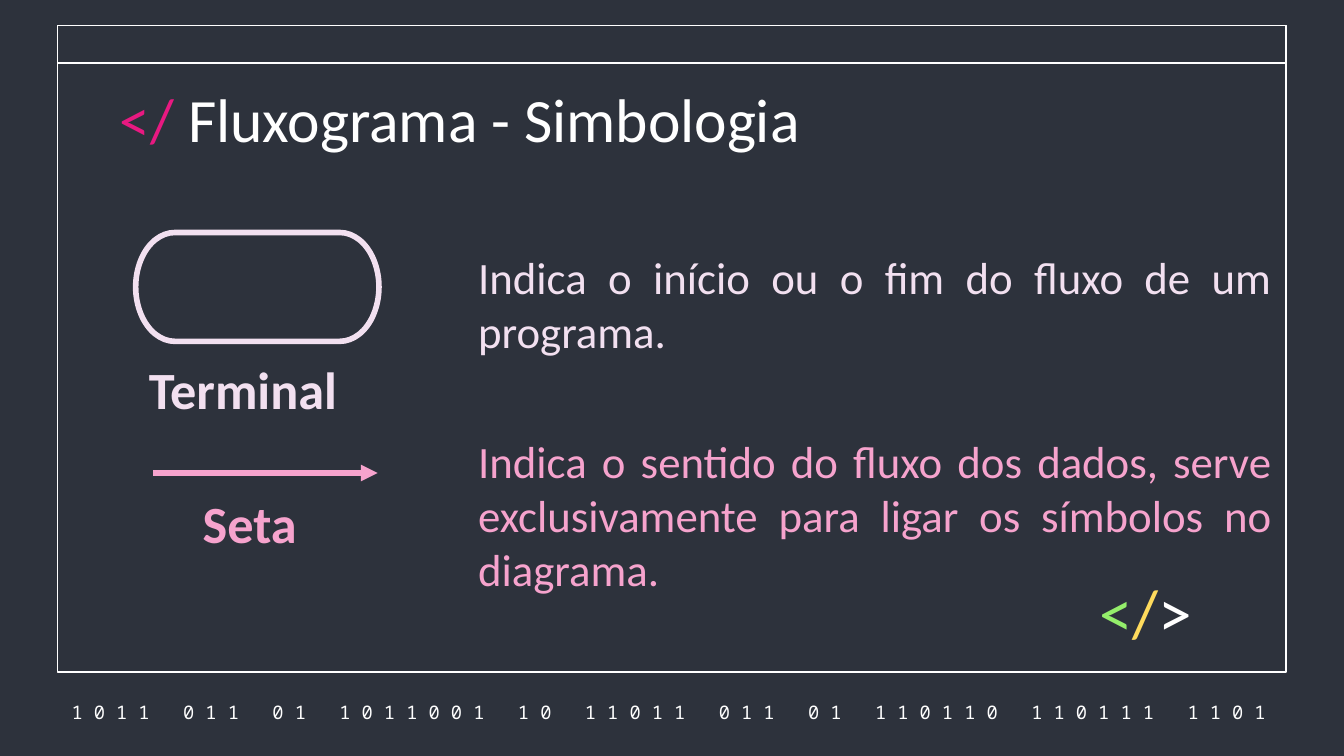
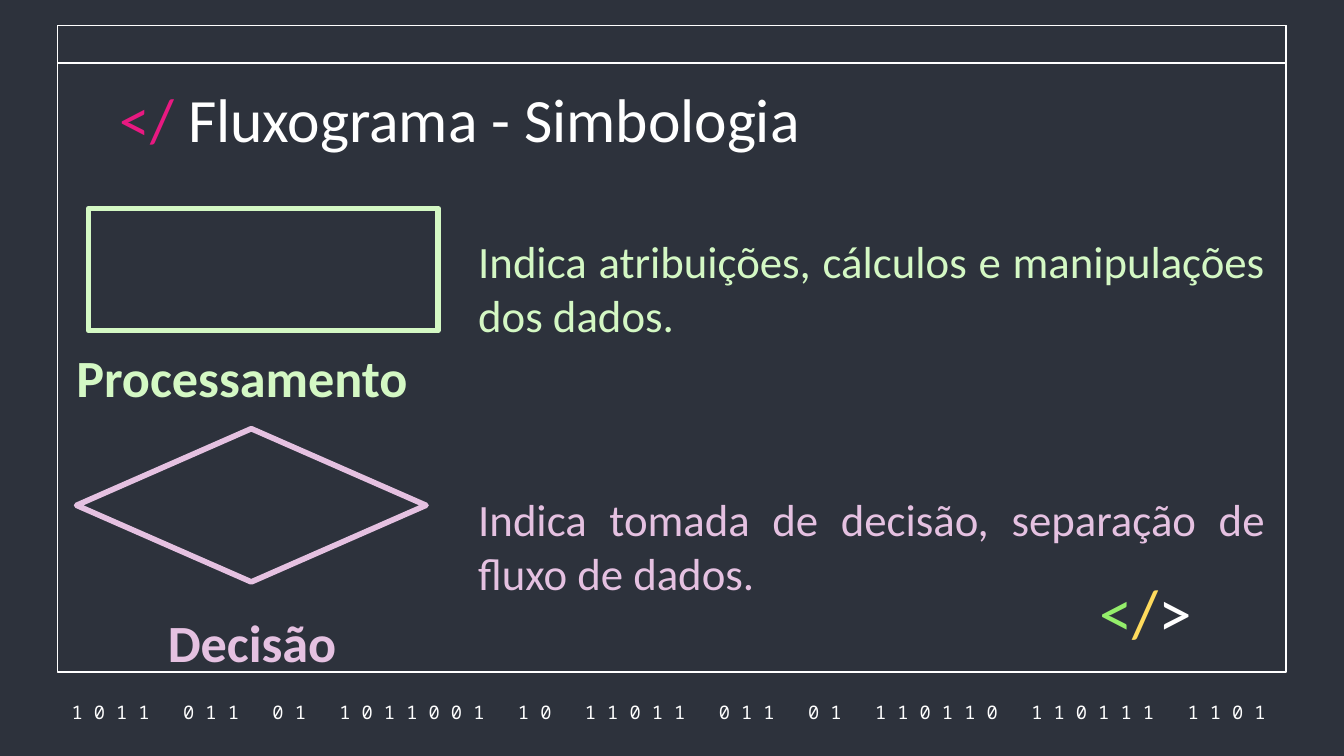
from lxml.etree import SubElement
from pptx import Presentation
from pptx.dml.color import RGBColor
from pptx.enum.shapes import MSO_CONNECTOR, MSO_SHAPE
from pptx.enum.text import MSO_ANCHOR, MSO_AUTO_SIZE, PP_ALIGN
from pptx.oxml.ns import qn
from pptx.util import Inches, Pt

FONT = "Calibri"
MONO = "Noto Sans Mono"
BACKGROUND = "2D323C"
WHITE = "FFFFFF"
MAGENTA = "E81981"
GREEN = "94EE6B"
YELLOW = "FFDB5D"
LILAC = "F2E0F0"
PINK = "F6A3CD"
MINT = "D4F8C4"
MAUVE = "E5C1E1"
TITLE = "Fluxograma - Simbologia"
BITS = "1011 011 01 1011001 10 11011 011 01 110110 110111 1101"
TEXT_LEFT = 3.46


def rgb(color):
    return RGBColor.from_string(color)


def box(left, top, width, height):
    return [Inches(v) for v in (left, top, width, height)]


def format_run(r, size, color, bold=False, font=FONT):
    r.font.name = font
    r.font.size = Pt(size)
    r.font.bold = bold
    r.font.color.rgb = rgb(color)


def add_runs(p, parts, size):
    for text, color in parts:
        r = p.add_run()
        r.text = text
        format_run(r, size, color)


def set_frame(tf, anchor):
    tf.word_wrap = True
    tf.auto_size = MSO_AUTO_SIZE.NONE
    tf.vertical_anchor = anchor
    tf.margin_left = tf.margin_right = Inches(0.1)
    tf.margin_top = tf.margin_bottom = Inches(0.1)


def add_outline(s, kind, place, color, width=3, fill=None):
    sp = s.shapes.add_shape(kind, *box(*place))
    sp.shadow.inherit = False
    if fill:
        sp.fill.solid()
        sp.fill.fore_color.rgb = rgb(fill)
    else:
        sp.fill.background()
    sp.line.color.rgb = rgb(color)
    sp.line.width = Pt(width)


def add_arrow(s, left, right, y, color):
    line = s.shapes.add_connector(
        MSO_CONNECTOR.STRAIGHT, Inches(left), Inches(y), Inches(right), Inches(y))
    line.line.color.rgb = rgb(color)
    line.line.width = Pt(3)
    SubElement(line.line._get_or_add_ln(), qn("a:tailEnd"), type="triangle")
    SubElement(line._element.spPr, qn("a:effectLst"))


def add_growing_text(s, text, place, size, color, bold=False, wrap=True):
    tf = s.shapes.add_textbox(*box(*place)).text_frame
    tf.word_wrap = wrap
    tf.auto_size = MSO_AUTO_SIZE.SHAPE_TO_FIT_TEXT
    p = tf.paragraphs[0]
    p.text = text
    p.alignment = PP_ALIGN.JUSTIFY if wrap else PP_ALIGN.LEFT
    format_run(p.runs[0], size, color, bold)


def add_label(s, text, left, top, width, color):
    add_growing_text(s, text, (left, top, width, 0.57), 28, color, True, False)


def add_meaning(s, text, top, width, height, color):
    add_growing_text(s, text, (TEXT_LEFT, top, width, height), 24, color)


def add_window(s):
    for height in (4.81, 0.28):
        add_outline(s, MSO_SHAPE.RECTANGLE, (0.43, 0.19, 9.14, height),
                    WHITE, 0.75, BACKGROUND)


def add_bits(s):
    tf = s.shapes.add_textbox(*box(0.38, 5.2, 9.27, 0.2)).text_frame
    set_frame(tf, MSO_ANCHOR.MIDDLE)
    p = tf.paragraphs[0]
    p.text = " ".join(BITS.replace(" ", "  ")).replace(" " * 5, " " * 3) + " "
    p.alignment = PP_ALIGN.CENTER
    format_run(p.runs[0], 10, WHITE, font=MONO)


def set_title(s):
    sp = s.shapes.title
    sp.left, sp.top, sp.width, sp.height = box(0.79, 0.5, 8.43, 0.63)
    set_frame(sp.text_frame, MSO_ANCHOR.TOP)
    p = sp.text_frame.paragraphs[0]
    p.alignment = PP_ALIGN.LEFT
    add_runs(p, [("</ ", MAGENTA), (TITLE, WHITE)], 33)


def add_tag(s):
    tf = s.shapes.add_textbox(*box(7.83, 4.3, 1.39, 0.56)).text_frame
    set_frame(tf, MSO_ANCHOR.MIDDLE)
    p = tf.paragraphs[0]
    p.alignment = PP_ALIGN.CENTER
    p.line_spacing = 0.9
    add_runs(p, [("<", GREEN), ("/", YELLOW), (">", WHITE)], 36)


def add_base_slide(prs):
    s = prs.slides.add_slide(prs.slide_layouts[5])
    add_window(s)
    add_bits(s)
    set_title(s)
    s.shapes._spTree.append(s.shapes.title._element)
    add_tag(s)
    return s


def add_terminal_and_arrow(prs):
    s = add_base_slide(prs)
    add_outline(s, MSO_SHAPE.FLOWCHART_TERMINATOR, (1.01, 1.73, 1.81, 0.81), LILAC)
    add_label(s, "Terminal", 1.01, 2.61, 1.84, LILAC)
    add_meaning(s, "Indica o início ou o fim do fluxo de um programa.",
                1.81, 6.1, 0.91, LILAC)
    add_label(s, "Seta", 1.41, 3.61, 1.06, PINK)
    add_meaning(s, "Indica o sentido do fluxo dos dados, serve exclusivamente "
                "para ligar os símbolos no diagrama.", 3.18, 6.1, 1.31, PINK)
    add_arrow(s, 1.14, 2.81, 3.52, PINK)


def add_process_and_decision(prs):
    s = add_base_slide(prs)
    add_label(s, "Processamento", 0.47, 2.52, 3.1, MINT)
    add_meaning(s, "Indica atribuições, cálculos e manipulações dos dados.",
                1.69, 6.05, 0.91, MINT)
    add_outline(s, MSO_SHAPE.RECTANGLE, (0.66, 1.55, 2.6, 0.91), MINT, fill=BACKGROUND)
    add_label(s, "Decisão", 1.15, 4.49, 1.68, MAUVE)
    add_meaning(s, "Indica tomada de decisão, separação de fluxo de dados.",
                3.61, 6.05, 0.91, MAUVE)
    add_outline(s, MSO_SHAPE.FLOWCHART_DECISION, (0.57, 3.19, 2.6, 1.14), MAUVE)


def main():
    prs = Presentation()
    prs.slide_width = Inches(10)
    prs.slide_height = prs.slide_width * 9 // 16
    fill = prs.slide_master.background.fill
    fill.solid()
    fill.fore_color.rgb = rgb(BACKGROUND)
    add_terminal_and_arrow(prs)
    add_process_and_decision(prs)
    prs.save("out.pptx")


if __name__ == "__main__":
    main()
